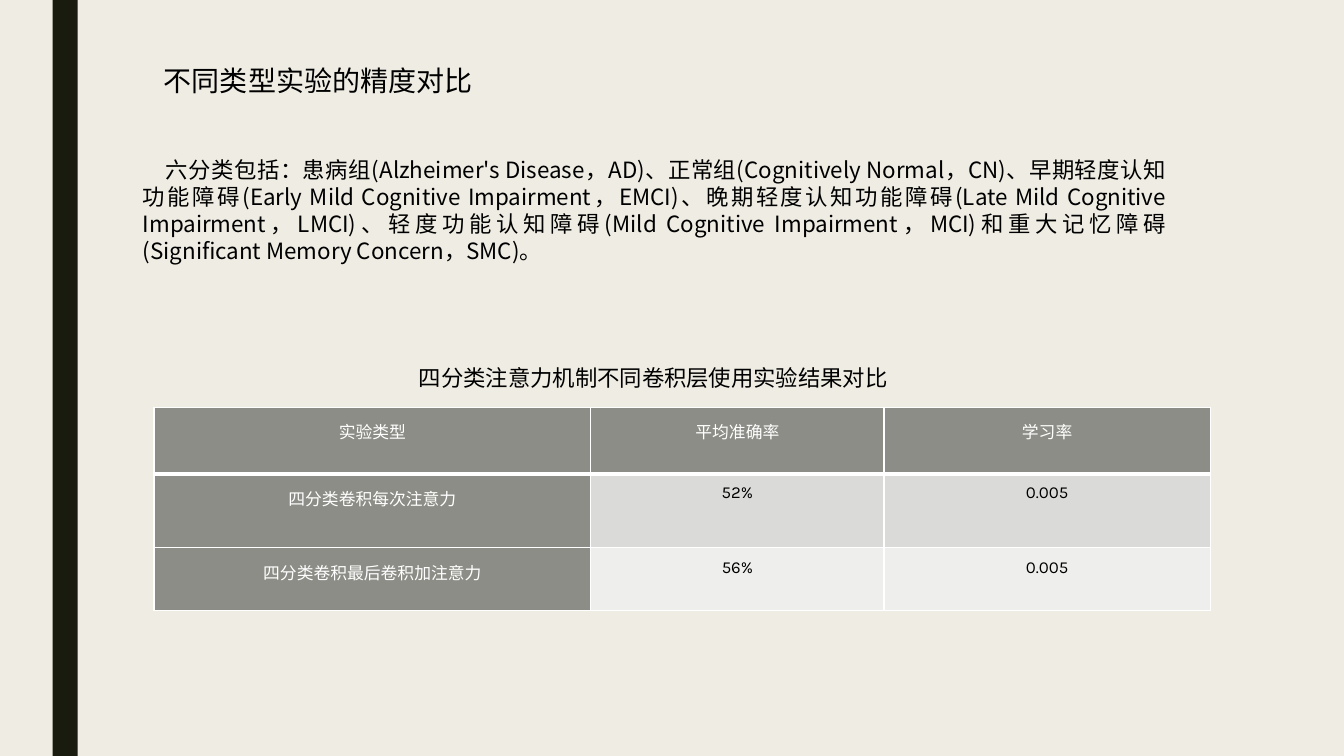
from lxml import etree
from pptx import Presentation
from pptx.dml.color import RGBColor
from pptx.enum.shapes import MSO_SHAPE as Shape
from pptx.enum.text import MSO_ANCHOR as Anchor, PP_ALIGN as Align
from pptx.oxml.ns import qn
from pptx.util import Pt

CREAM = RGBColor(0xEF, 0xED, 0xE3)
OLIVE = RGBColor(0x19, 0x1B, 0x0E)
BLACK = RGBColor(0, 0, 0)
WHITE = RGBColor(0xFF, 0xFF, 0xFF)
GREY = RGBColor(0x8C, 0x8D, 0x86)
BANDS = [RGBColor(0xDA, 0xDB, 0xD9), RGBColor(0xEE, 0xEE, 0xED)]
CJK, LATIN, NUMERIC = "Noto Sans CJK SC", "Arial", "Karla"

TITLE = "不同类型实验的精度对比"
INTRO = (
    "六分类包括：患病组(Alzheimer's Disease，AD)、正常组(Cognitively Normal，CN)、"
    "早期轻度认知功能障碍(Early Mild Cognitive Impairment，EMCI)、"
    "晚期轻度认知功能障碍(Late Mild Cognitive Impairment，LMCI)、"
    "轻度功能认知障碍(Mild Cognitive Impairment，MCI)和"
    "重大记忆障碍(Significant Memory Concern，SMC)。"
)
CAPTION = "四分类注意力机制不同卷积层使用实验结果对比"
RESULTS = [
    ["实验类型", "平均准确率", "学习率"],
    ["四分类卷积每次注意力", "52%", "0.005"],
    ["四分类卷积最后卷积加注意力", "56%", "0.005"],
]
COLUMN_WIDTHS = [312, 209.5, 233]
ROW_HEIGHTS = [47.5, 53, 45]


def style_para(para, size, font, color, align, spacing=None):
    para.alignment = align
    para.line_spacing = spacing
    for span in para.runs:
        span.font.size = Pt(size)
        span.font.name = font
        span.font.color.rgb = color
        east_asian = etree.SubElement(span.font._element, qn("a:ea"))
        east_asian.set("typeface", CJK)


def add_text(page, box, text, size, font, align, spacing=None, wrap=True):
    frame = page.shapes.add_textbox(*map(Pt, box)).text_frame
    frame.word_wrap = wrap
    frame.text = text
    para = frame.paragraphs[0]
    style_para(para, size, font, BLACK, align, spacing)
    return frame


def set_borders(cell, bottom):
    props = cell._tc.get_or_add_tcPr()
    widths = {"lnL": 1, "lnR": 1, "lnT": 1, "lnB": bottom}
    for position, (side, width) in enumerate(widths.items()):
        line = etree.Element(qn(f"a:{side}"), w=str(Pt(width)))
        fill = etree.SubElement(line, qn("a:solidFill"))
        etree.SubElement(fill, qn("a:srgbClr"), val=str(WHITE))
        props.insert(position, line)


# Background and vertical bar
def add_backdrop(page, box):
    page.background.fill.solid()
    page.background.fill.fore_color.rgb = CREAM
    bar = page.shapes.add_shape(Shape.RECTANGLE, *map(Pt, box))
    bar.shadow.inherit = False
    bar.fill.solid()
    bar.fill.fore_color.rgb = OLIVE
    bar.line.fill.background()


# Title with the introduction below it
def add_introduction(page, box):
    left, top, width, height = box
    add_text(page, (left + 15, top, 271, 36), TITLE, 20, CJK, Align.JUSTIFY, 0.89)
    intro_box = (left, top + 63.4, width, height - 63.4)
    frame = add_text(page, intro_box, INTRO, 16, CJK, Align.JUSTIFY)
    frame.paragraphs[0]._p.get_or_add_pPr().set("indent", str(Pt(16.4)))


# Caption with the results table below it
def add_results(page, box):
    left, top, width, height = box
    caption_box = (left + 180, top, 353.5, 26.6)
    frame = add_text(page, caption_box, CAPTION, 16, LATIN, Align.CENTER, wrap=False)
    frame.vertical_anchor = Anchor.MIDDLE

    table = page.shapes.add_table(
        len(RESULTS), len(COLUMN_WIDTHS),
        Pt(left), Pt(top + 34.6), Pt(width), Pt(height - 34.6),
    ).table
    for column, column_width in zip(table.columns, COLUMN_WIDTHS):
        column.width = Pt(column_width)
    for r, (row, row_height) in enumerate(zip(RESULTS, ROW_HEIGHTS)):
        table.rows[r].height = Pt(row_height)
        for c, text in enumerate(row):
            is_heading = r == 0 or c == 0
            cell = table.cell(r, c)
            cell.margin_left = cell.margin_right = Pt(5)
            cell.margin_top = cell.margin_bottom = 0
            cell.fill.solid()
            cell.fill.fore_color.rgb = GREY if is_heading else BANDS[r - 1]
            cell.text_frame.text = text
            color = WHITE if is_heading else BLACK
            style_para(cell.text_frame.paragraphs[0], 12, NUMERIC, color, Align.CENTER, 1.5)
            set_borders(cell, 3 if r == 0 else 1)


def main():
    deck = Presentation()
    deck.slide_width, deck.slide_height = Pt(960), Pt(540)
    page = deck.slides.add_slide(deck.slide_layouts[6])
    add_backdrop(page, (37.5, 0, 18, 540))
    add_introduction(page, (95, 44.6, 745, 148.4))
    add_results(page, (110, 256.3, 754.5, 180.1))
    deck.save("out.pptx")


if __name__ == "__main__":
    main()
